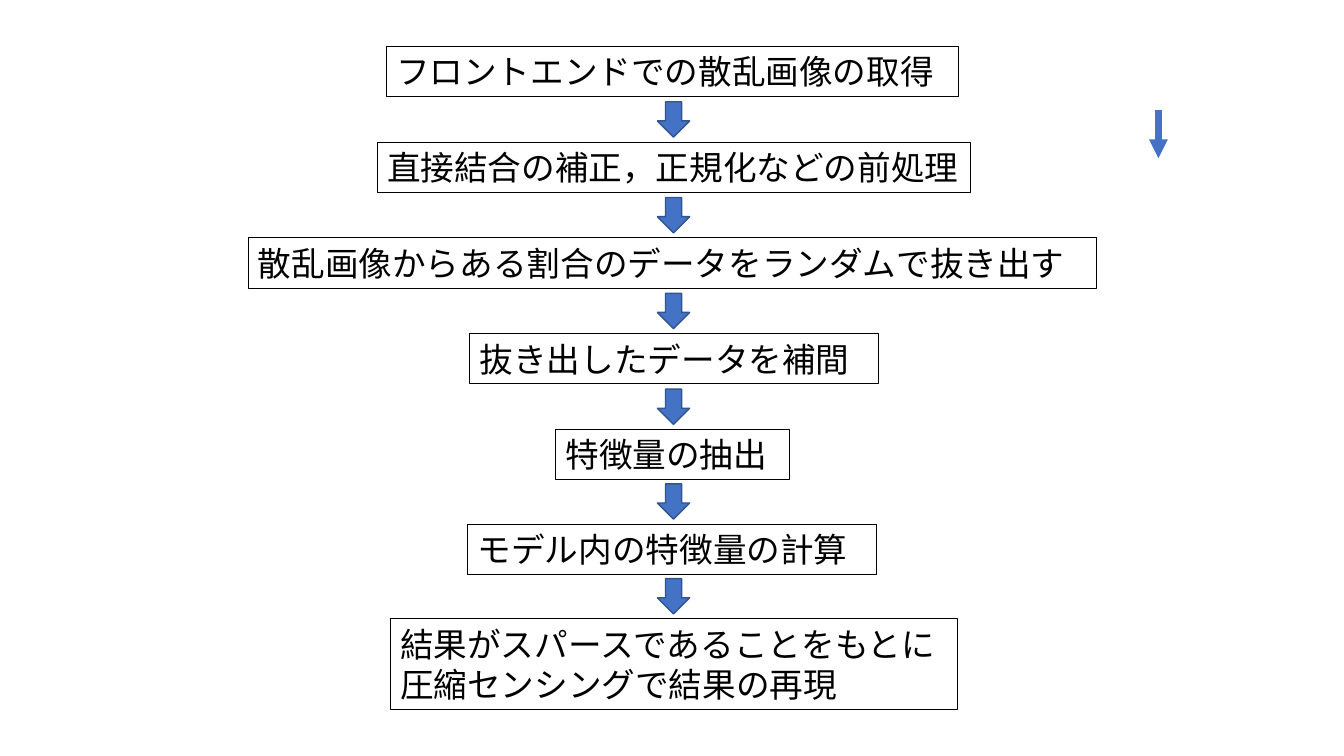
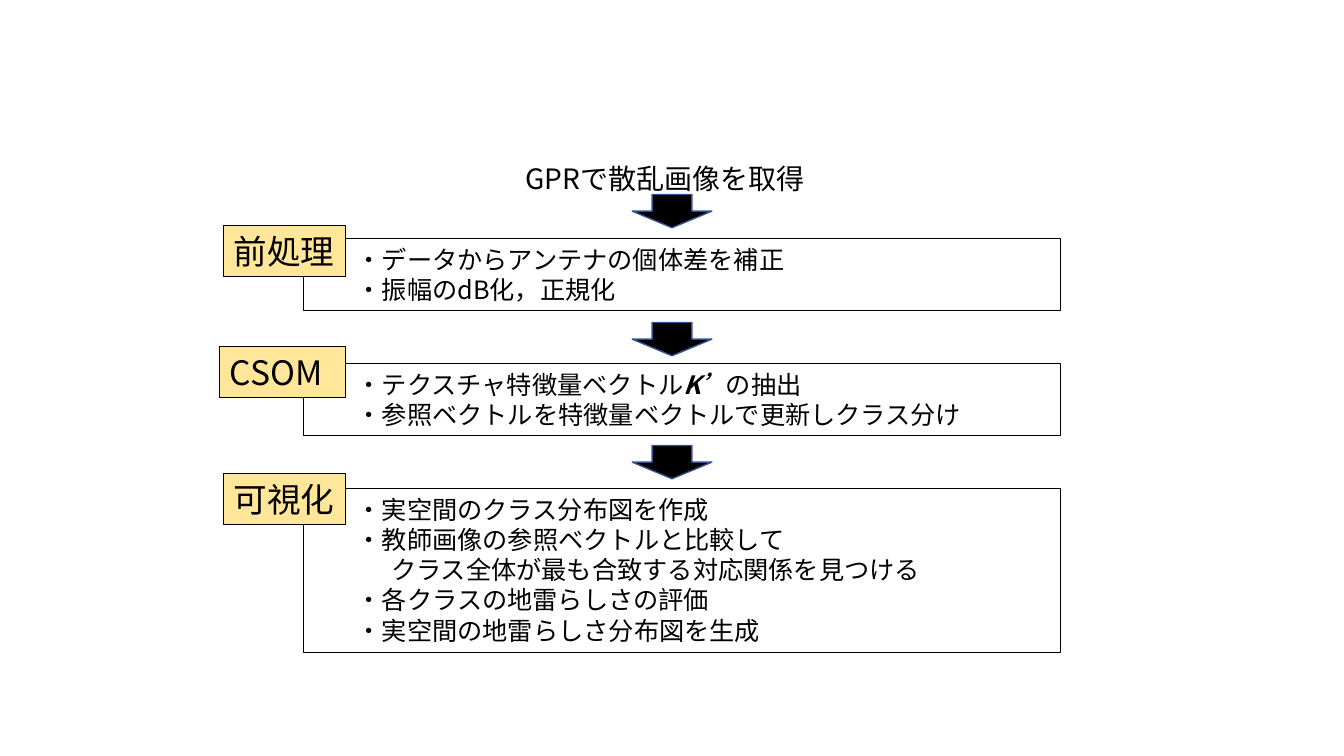
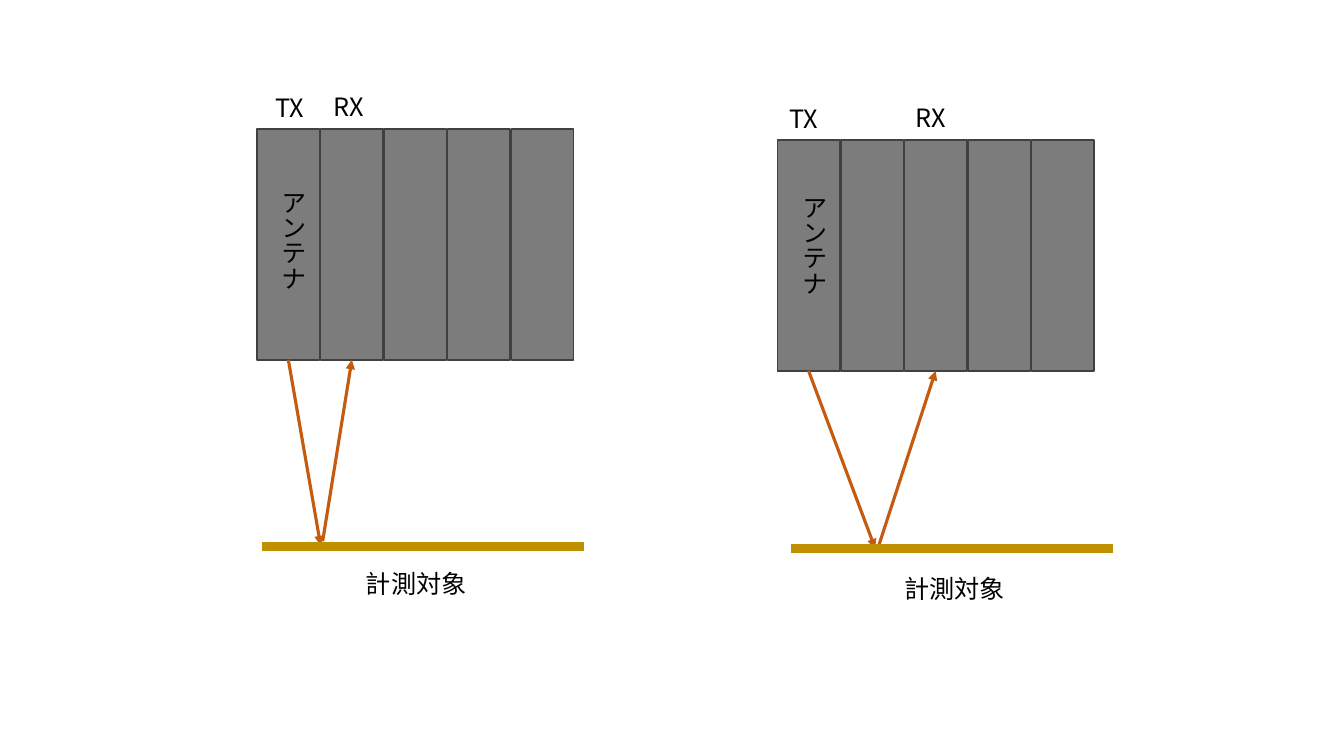
from lxml.etree import SubElement
from pptx import Presentation
from pptx.dml.color import RGBColor
from pptx.enum.shapes import MSO_CONNECTOR, MSO_SHAPE
from pptx.enum.text import MSO_AUTO_SIZE
from pptx.oxml.ns import qn
from pptx.util import Pt

PX = 9144
FONT = "Noto Sans CJK JP"
HEX = {
    "ink": "000000", "blue": "4472C4", "navy": "325491", "tag": "FFE699",
    "gray": "7C7C7C", "edge": "404040", "beam": "C55A11", "soil": "BF9000",
}
RGB = {name: RGBColor.from_string(code) for name, code in HEX.items()}


def note(slide, at, lines, size, edge=None, fill=None, wrap=True):
    box = slide.shapes.add_textbox(*[v * PX for v in at])
    if edge:
        box.line.color.rgb = RGB[edge]
        box.line.width = Pt(0.75)
    if fill:
        box.fill.solid()
        box.fill.fore_color.rgb = RGB[fill]
    frame = box.text_frame
    frame.word_wrap = wrap
    frame.auto_size = MSO_AUTO_SIZE.SHAPE_TO_FIT_TEXT
    for i, line in enumerate(lines):
        para = frame.add_paragraph() if i else frame.paragraphs[0]
        for j, part in enumerate(line.split("|")):
            run = para.add_run()
            run.text = part
            run.font.size = Pt(size)
            run.font.name = FONT
            run.font.color.rgb = RGB["ink"]
            if j % 2:
                run.font.bold = run.font.italic = True
            east = SubElement(run.font._element, qn("a:ea"))
            east.set("typeface", FONT)
    return frame


def block(slide, kind, at, fill, edge):
    shape = slide.shapes.add_shape(kind, *[v * PX for v in at])
    shape.shadow.inherit = False
    shape.fill.solid()
    shape.fill.fore_color.rgb = RGB[fill]
    shape.line.color.rgb = RGB[edge]
    shape.line.width = Pt(1)


deck = Presentation()
deck.slide_width = 1333 * PX
deck.slide_height = 750 * PX
flow, stage, scan = [deck.slides.add_slide(deck.slide_layouts[6]) for _ in range(3)]

steps = [
    (383, 46, 568, ["フロントエンドでの散乱画像の取得"]),
    (374, 141, 589, ["直接結合の補正，正規化などの前処理"]),
    (246, 236, 842, ["散乱画像からある割合のデータをランダムで抜き出す"]),
    (466, 331, 405, ["抜き出したデータを補間"]),
    (551, 426, 232, ["特徴量の抽出"]),
    (464, 520, 405, ["モデル内の特徴量の計算"]),
    (387, 614, 563, ["結果がスパースであることをもとに", "圧縮センシングで結果の再現"]),
]
for i, (left, top, width, lines) in enumerate(steps):
    note(flow, (left, top, width, 10 + 40 * len(lines)), lines, 24, "ink")
    if i:
        block(flow, MSO_SHAPE.DOWN_ARROW, (652, top - 40, 32, 35), "blue", "navy")

note(stage, (511, 155, 367, 44), ["GPRで散乱画像を取得"], 20)
parts = [
    ("前処理", (222, 224, 121, 50), 237, 71, 193,
     ["・データからアンテナの個体差を補正", "・振幅のdB化，正規化"]),
    ("CSOM", (218, 344, 125, 50), 361, 71, 320,
     ["・テクスチャ特徴量ベクトル|K’|の抽出",
      "・参照ベクトルを特徴量ベクトルで更新しクラス分け"]),
    ("可視化", (222, 470, 121, 50), 485, 162, 442,
     ["・実空間のクラス分布図を作成", "・教師画像の参照ベクトルと比較して",
      "クラス全体が最も合致する対応関係を見つける",
      "・各クラスの地雷らしさの評価", "・実空間の地雷らしさ分布図を生成"]),
]
for name, at, top, height, tip, lines in parts:
    frame = note(stage, (301, top, 751, height), lines, 18, "ink")
    for para in frame.paragraphs:
        inset = 43 if para.text.startswith("・") else 77
        para._p.get_or_add_pPr().set("marL", str(inset * PX))
    note(stage, at, [name], 24, "ink", "tag", False)
    block(stage, MSO_SHAPE.DOWN_ARROW, (627, tip, 79, 33), "ink", "navy")

panels = [
    (255, 128, (261, 179), (263, 87), (321, 86), (353, 559)),
    (771, 139, (777, 184), (773, 98), (898, 97), (887, 564)),
]
for left, top, mast, send, get, goal in panels:
    for i in range(5):
        block(scan, MSO_SHAPE.RECTANGLE, (left + 63 * i, top, 62, 229), "gray", "edge")
    note(scan, (*mast, 50, 111), ["アンテナ"], 18, wrap=False)._txBody.bodyPr.set("vert", "eaVert")
    note(scan, (*send, 52, 40), ["TX"], 18, wrap=False)
    note(scan, (*get, 63, 40), ["RX"], 18)
    note(scan, (*goal, 121, 40), ["計測対象"], 18, wrap=False)

rays = [
    (flow, (1149, 109, 1149, 157), "blue", 4.5, True),
    (scan, (286, 357, 318, 541), "beam", 2.25, True),
    (scan, (320, 537, 349, 357), "beam", 2.25, True),
    (scan, (802, 368, 868, 544), "beam", 2.25, True),
    (scan, (871, 543, 928, 368), "beam", 2.25, True),
    (scan, (260, 542, 579, 542), "soil", 6, False),
    (scan, (785, 544, 1104, 544), "soil", 6, False),
]
for slide, ends, color, width, tip in rays:
    ray = slide.shapes.add_connector(MSO_CONNECTOR.STRAIGHT, *[v * PX for v in ends])
    ray.line.color.rgb = RGB[color]
    ray.line.width = Pt(width)
    if tip:
        SubElement(ray.line._get_or_add_ln(), qn("a:tailEnd")).set("type", "triangle")
    SubElement(ray._element.spPr, qn("a:effectLst"))

deck.save("out.pptx")
